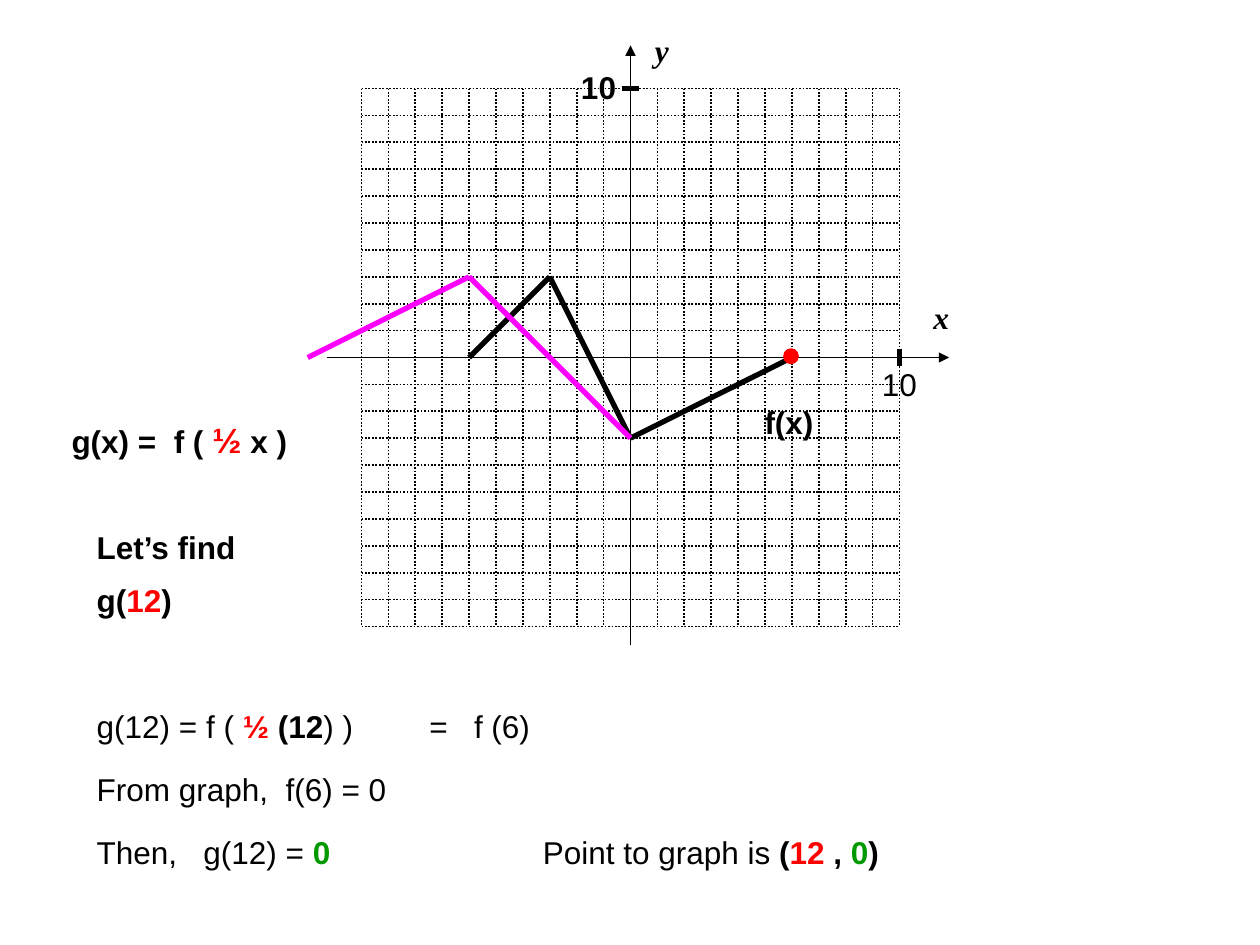
from pptx import Presentation
from pptx.dml.color import RGBColor
from pptx.enum.dml import MSO_LINE
from pptx.enum.shapes import MSO_CONNECTOR, MSO_SHAPE
from pptx.enum.text import MSO_AUTO_SIZE
from pptx.oxml.ns import qn
from pptx.util import Pt
from lxml import etree

STRAIGHT = MSO_CONNECTOR.STRAIGHT
OVAL = MSO_SHAPE.OVAL
DOTTED = MSO_LINE.ROUND_DOT
NO_FIT = MSO_AUTO_SIZE.NONE

COLORS = {
    "ink": "000000",
    "input": "FF0000",
    "output": "009900",
    "stretched": "FF00FF",
}

# Coordinate system: origin and length of one unit, in points
ORIGIN_X, ORIGIN_Y, UNIT, LIMIT = 360.3, 204.3, 15.37, 10

# Run formats
PLAIN = {"bold": False, "size": Pt(18), "name": "Arial"}
BOLD = {**PLAIN, "bold": True}
LARGE = {**BOLD, "size": Pt(20)}
AXIS = {**BOLD, "italic": True, "name": "Times New Roman"}

deck = Presentation()
deck.slide_width, deck.slide_height = Pt(720), Pt(540)
page = deck.slides.add_slide(deck.slide_layouts[6])


def add_line(shapes, start, end, width, color="ink", dash=None, arrow=False):
    """Draw a line between two points given in graph units."""
    ends = [(Pt(round(ORIGIN_X + x * UNIT, 2)), Pt(round(ORIGIN_Y - y * UNIT, 2)))
            for x, y in (start, end)]
    connector = shapes.add_connector(STRAIGHT, *ends[0], *ends[1])
    line = connector.line
    line.color.rgb = RGBColor.from_string(COLORS[color])
    line.width = Pt(width)
    if dash:
        line.dash_style = dash
    if arrow:
        outline = connector._element.spPr.find(qn("a:ln"))
        etree.SubElement(outline, qn("a:tailEnd"), type="triangle")
    etree.SubElement(connector._element.spPr, qn("a:effectLst"))


def add_text(left, top, width, height, runs):
    """Add a one-line text box made of (text, format, color) runs."""
    box = page.shapes.add_textbox(Pt(left), Pt(top), Pt(width), Pt(height))
    box.text_frame.word_wrap = True
    box.text_frame.auto_size = NO_FIT
    para = box.text_frame.paragraphs[0]
    for text, style, color in runs:
        span = para.add_run()
        span.text = text
        for name, value in style.items():
            setattr(span.font, name, value)
        span.font.color.rgb = RGBColor.from_string(COLORS[color])


# Graph of f
f_points = [(-6, 0), (-3, 3), (0, -3), (6, 0)]
f_graph = page.shapes.add_group_shape()
for start, end in zip(f_points, f_points[1:]):
    add_line(f_graph.shapes, start, end, 3)

# Dotted grid
grid = page.shapes.add_group_shape()
for step in range(-LIMIT, LIMIT + 1):
    add_line(grid.shapes, (step, LIMIT), (step, -LIMIT), 1, dash=DOTTED)
    add_line(grid.shapes, (-LIMIT, step), (LIMIT, step), 1, dash=DOTTED)

# Axes and tick marks at 10
add_line(page.shapes, (0, -10.7), (0, 11.6), 0.75, arrow=True)
add_line(page.shapes, (-11.3, 0), (11.85, 0), 0.75, arrow=True)
add_line(page.shapes, (LIMIT, 0.33), (LIMIT, -0.33), 3)
add_line(page.shapes, (-0.33, LIMIT), (0.33, LIMIT), 3)

# Axis and curve labels
for left, top, width, text, style in [
    (367.2, 14.4, 25, "y", AXIS),
    (526.3, 167, 26, "x", AXIS),
    (496.8, 205.2, 38, "10", PLAIN),
    (324.9, 35.5, 38, "10", BOLD),
    (429.8, 226.8, 46, "f(x)", BOLD),
]:
    add_text(left, top, width, 28.8, [(text, style, "ink")])

# Point (6, 0) on f
point = page.shapes.add_shape(OVAL, Pt(447.9), Pt(199.4), Pt(8.2), Pt(8.4))
point.shadow.inherit = False
point.fill.solid()
point.fill.fore_color.rgb = RGBColor.from_string(COLORS["input"])
point.line.color.rgb = RGBColor.from_string(COLORS["input"])
point.line.width = Pt(0.75)

# Graph of g: f stretched horizontally by 2
g_points = [(2 * x, y) for x, y in f_points[:3]]
for start, end in zip(g_points, g_points[1:]):
    add_line(page.shapes, start, end, 3, "stretched")

# Definition of g and the question
add_text(33.8, 235.4, 146, 31.7, [
    ("g(x) =  f ( ", BOLD, "ink"), ("½", LARGE, "input"), (" x )", BOLD, "ink")])
add_text(48.2, 298.1, 98, 28.8, [("Let’s find", BOLD, "ink")])
add_text(48.2, 328.3, 61, 28.8, [
    ("g(", BOLD, "ink"), ("12", BOLD, "input"), (")", BOLD, "ink")])

# Worked solution
add_text(48.2, 400.3, 165, 28.8, [
    ("g(12) = f ( ", PLAIN, "ink"), ("½ ", BOLD, "input"),
    ("(12", BOLD, "ink"), (") )", PLAIN, "ink")])
add_text(238.3, 400.3, 76, 28.8, [("=   f (6)", PLAIN, "ink")])
add_text(48.2, 436.3, 184, 28.8, [("From graph,  f(6) = 0", PLAIN, "ink")])
add_text(48.2, 472.3, 152, 28.8, [
    ("Then,   g(12) = ", PLAIN, "ink"), ("0", BOLD, "output")])
add_text(303.1, 472.3, 210, 28.8, [
    ("Point to graph is ", PLAIN, "ink"), ("(", BOLD, "ink"), ("12", BOLD, "input"),
    (" , ", BOLD, "ink"), ("0", BOLD, "output"), (")", BOLD, "ink")])

deck.save("out.pptx")
